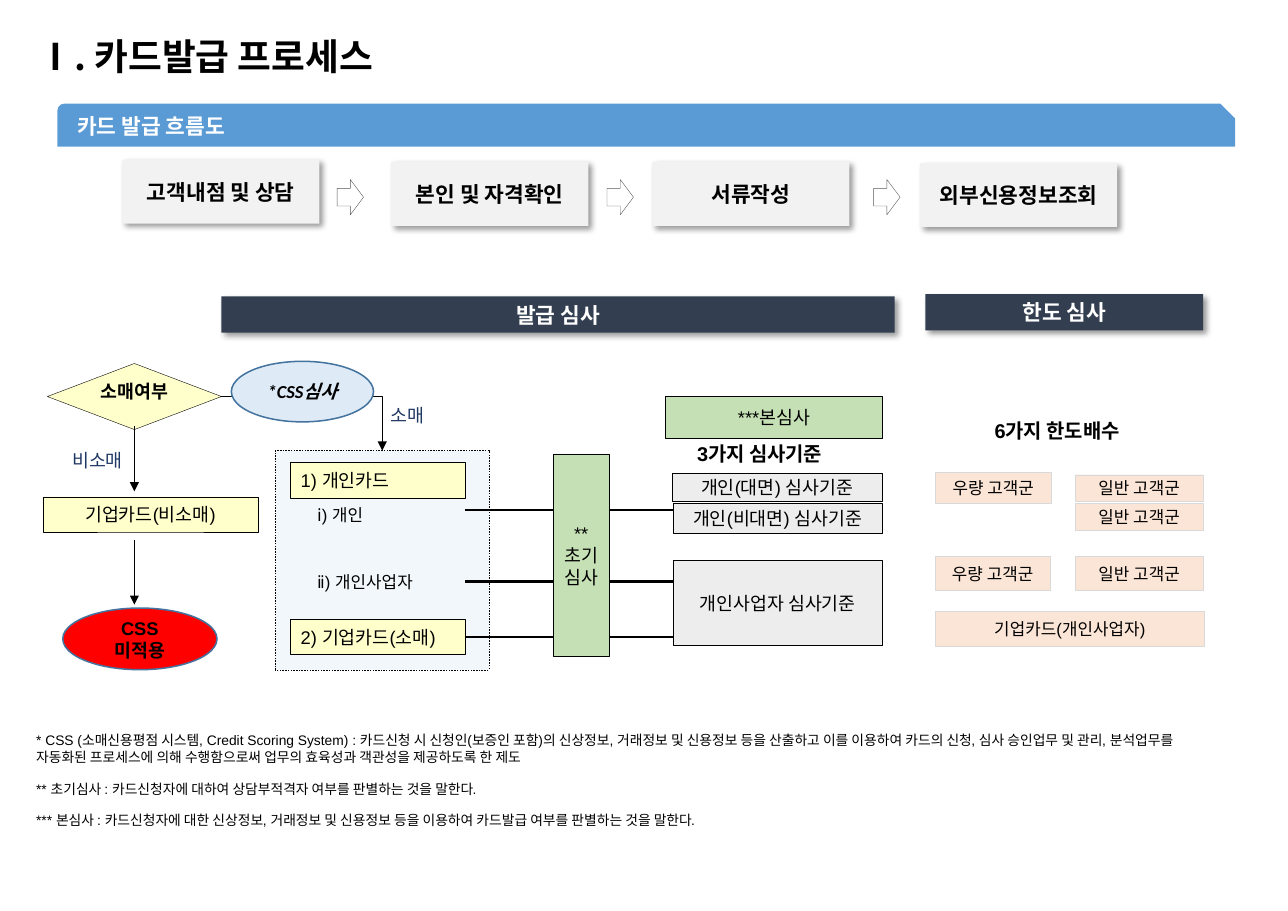
import pptx
import pptx.util
import pptx.dml.color
import pptx.enum.dml
import pptx.enum.shapes
import pptx.enum.text
import pptx.oxml
import pptx.oxml.ns

COLS, ROWS = 1169, 827
CELL = pptx.util.Inches(0.01)
FACE = "Noto Sans CJK KR"
KIND = pptx.enum.shapes.MSO_SHAPE
LINK = pptx.enum.shapes.MSO_CONNECTOR
ALIGN = pptx.enum.text.PP_ALIGN
MID = pptx.enum.text.MSO_ANCHOR.MIDDLE
TOP = pptx.enum.text.MSO_ANCHOR.TOP
NS = pptx.oxml.ns.nsdecls("a")

BASE = dict(kind=KIND.RECTANGLE, fill=None, line=None, width=0.25, dash=False, shade=False,
            size=12, face="Arial", ink="000000", bold=False, slant=False, edge=False,
            align=ALIGN.CENTER, anchor=MID, wrap=True, inset=(10, 5, 10, 5))
LOOKS = {
    "band": dict(kind=KIND.SNIP_ROUND_RECTANGLE, fill="5B9BD5", size=14, face=FACE, ink="FFFFFF",
                 bold=True, align=ALIGN.LEFT, inset=(16, 5, 10, 5)),
    "panel": dict(fill="F2F7FC", line="000000", dash=True),
    "card": dict(fill="FFFFCC", line="000000", align=ALIGN.LEFT),
    "node": dict(fill="FFFFCC", line="000000"),
    "choice": dict(kind=KIND.FLOWCHART_DECISION, fill="FFFFCC", line="000000"),
    "ask": dict(kind=None, bold=True, anchor=TOP),
    "stop": dict(kind=KIND.OVAL, fill="FF0000", line="43739E", width=1, bold=True),
    "score": dict(kind=KIND.OVAL, fill="DEEBF7", line="43739E", width=1, face="Calibri",
                  bold=True, slant=True),
    "branch": dict(kind=None, ink="203864", anchor=TOP, wrap=False),
    "item": dict(kind=None, size=11, align=ALIGN.LEFT),
    "group": dict(fill="FBE5D6", line="D9D9D9", size=11),
    "rule": dict(fill="EDEDED", line="000000"),
    "count": dict(kind=None, size=13, bold=True),
    "arrow": dict(kind=KIND.RIGHT_ARROW, line="595959"),
    "step": dict(fill="F2F2F2", shade=True, size=14, bold=True, inset=(8, 8, 8, 8)),
    "stage": dict(fill="333F50", shade=True, size=14, bold=True, ink="FFFFFF", wrap=False,
                  inset=(8, 8, 8, 8)),
    "check": dict(fill="C5E0B4", line="000000", edge=True),
    "note": dict(kind=None, size=9, align=ALIGN.LEFT, edge=True),
}

TITLE = "Ⅰ. 카드발급 프로세스"
BACK = [
    ("band", (52, 94, 1069, 39), "카드 발급 흐름도"),
    ("panel", (250, 409, 194, 199), ""),
    ("card", (263, 420, 159, 32), "1) 개인카드"),
    ("card", (263, 562, 159, 32), "2) 기업카드(소매)"),
    ("choice", (43, 330, 158, 60), ""),
    ("ask", (51, 340, 142, 41), "소매여부"),
]
FRONT = [
    ("node", (39, 451, 195, 32), "기업카드(비소매)"),
    ("stop", (57, 552, 140, 56), "CSS 미적용"),
    ("score", (210, 328, 129, 55), "*CSS심사"),
    ("branch", (343, 362, 54, 30), "소매"),
    ("branch", (53, 403, 71, 30), "비소매"),
    ("item", (278, 451, 119, 32), "ⅰ) 개인"),
    ("item", (278, 512, 142, 32), "ⅱ) 개인사업자"),
    ("group", (849, 429, 105, 28), "우량 고객군"),
    ("group", (849, 505, 104, 31), "우량 고객군"),
    ("group", (976, 431, 116, 24), "일반 고객군"),
    ("group", (976, 457, 116, 24), "일반 고객군"),
    ("group", (976, 505, 116, 31), "일반 고객군"),
    ("group", (849, 555, 244, 32), "기업카드(개인사업자)"),
    ("rule", (611, 509, 190, 77), "개인사업자 심사기준"),
    ("rule", (610, 430, 191, 25), "개인(대면) 심사기준"),
    ("rule", (611, 457, 190, 27), "개인(비대면) 심사기준"),
    ("count", (850, 377, 219, 28), "6가지 한도배수"),
    ("count", (611, 398, 157, 28), "3가지 심사기준"),
    ("stage", (201, 269, 611, 33), "발급 심사"),
    ("stage", (840, 267, 252, 33), "한도 심사"),
    ("check", (502, 412, 51, 184), "**\n초기심사"),
    ("check", (604, 360, 197, 38), "***본심사"),
]
STEPS = [(111, 145, "고객내점 및 상담"), (355, 147, "본인 및 자격확인"),
         (592, 147, "서류작성"), (835, 148, "외부신용정보조회")]
ARROWS = [306, 551, 793]
NOTES = [
    (656, "* CSS (소매신용평점 시스템, Credit Scoring System) : 카드신청 시 신청인(보증인 포함)의 신상정보, "
          "거래정보 및 신용정보 등을 산출하고 이를 이용하여 카드의 신청, 심사 승인업무 및 관리, "
          "분석업무를 자동화된 프로세스에 의해 수행함으로써 업무의 효육성과 객관성을 제공하도록 한 제도"),
    (693, "** 초기심사 : 카드신청자에 대하여 상담부적격자 여부를 판별하는 것을 말한다."),
    (721, "*** 본심사 : 카드신청자에 대한 신상정보, 거래정보 및 신용정보 등을 이용하여 "
          "카드발급 여부를 판별하는 것을 말한다."),
]
DROPS = [387, 490]
FLOWS = [463, 528, 578]


def tint(code):
    return pptx.dml.color.RGBColor.from_string(code)


def grid(*spans):
    return [int(span * CELL) for span in spans]


def write(frame, text, look):
    frame.word_wrap = look["wrap"]
    frame.vertical_anchor = look["anchor"]
    (frame.margin_left, frame.margin_top,
     frame.margin_right, frame.margin_bottom) = grid(*look["inset"])
    for at, line in enumerate(text.split("\n")):
        para = frame.add_paragraph() if at else frame.paragraphs[0]
        para.alignment = look["align"]
        run = para.add_run()
        run.text = line
        font = run.font
        font.size = pptx.util.Pt(look["size"])
        font.bold, font.italic = look["bold"], look["slant"]
        font.color.rgb = tint(look["ink"])
        font.name = look["face"]
        props = run._r.get_or_add_rPr()
        props.append(pptx.oxml.parse_xml(f'<a:ea {NS} typeface="{FACE}"/>'))
        if look["edge"]:
            props.insert(0, pptx.oxml.parse_xml(
                f'<a:ln {NS} w="9525"><a:solidFill><a:srgbClr val="262626">'
                '<a:alpha val="30000"/></a:srgbClr></a:solidFill></a:ln>'))


def place(name, box, text=""):
    look = {**BASE, **LOOKS[name]}
    if look["kind"] is None:
        shape = slide.shapes.add_textbox(*grid(*box))
    else:
        shape = slide.shapes.add_shape(look["kind"], *grid(*box))
        shape.shadow.inherit = False
        if look["fill"]:
            shape.fill.solid()
            shape.fill.fore_color.rgb = tint(look["fill"])
        else:
            shape.fill.background()
        if look["line"]:
            shape.line.color.rgb = tint(look["line"])
            shape.line.width = pptx.util.Pt(look["width"])
        else:
            shape.line.fill.background()
        if look["dash"]:
            shape.line.dash_style = pptx.enum.dml.MSO_LINE.DASH
        if look["shade"]:
            shape._element.spPr.find(pptx.oxml.ns.qn("a:effectLst")).append(pptx.oxml.parse_xml(
                f'<a:outerShdw {NS} blurRad="50800" dist="38100" dir="2700000" algn="tl" '
                'rotWithShape="0"><a:srgbClr val="000000"><a:alpha val="40000"/>'
                '</a:srgbClr></a:outerShdw>'))
    if text:
        write(shape.text_frame, text, look)
    return shape


def join(ends, width, kind=LINK.STRAIGHT):
    link = slide.shapes.add_connector(kind, *grid(*ends))
    link.line.color.rgb = tint("000000")
    link.line.width = pptx.util.Pt(width)
    link.line._get_or_add_ln().append(pptx.oxml.parse_xml(f'<a:tailEnd {NS} type="triangle"/>'))
    link._element.spPr.append(pptx.oxml.parse_xml(f'<a:effectLst {NS}/>'))
    return link


deck = pptx.Presentation()
deck.slide_width, deck.slide_height = grid(COLS, ROWS)
slide = deck.slides.add_slide(deck.slide_layouts[5])

title = slide.shapes.title
title.left, title.top, title.width, title.height = grid(34, 34, 869, 37)
title.text_frame.auto_size = pptx.enum.text.MSO_AUTO_SIZE.NONE
write(title.text_frame, TITLE, {**BASE, "size": 24, "face": FACE, "bold": True,
                                "align": ALIGN.LEFT, "inset": (0, 0, 0, 0),
                                "anchor": pptx.enum.text.MSO_ANCHOR.BOTTOM})

band, panel, person, firm, choice, ask = [place(*part) for part in BACK]
band.adjustments[0], band.adjustments[1] = 0.17, 0.35

for top in DROPS:
    join((122, top, 122, top + 59), 0.25)
bend = join((201, 360, 347, 409), 0.25, LINK.ELBOW)
bend._element.spPr.prstGeom.set("prst", "bentConnector2")
bend.begin_connect(choice, 3)
bend.end_connect(panel, 0)
flows = [join((422, row, 690, row), 1.5) for row in FLOWS]
flows[-1].begin_connect(firm, 3)

for part in FRONT:
    place(*part)
for left in ARROWS:
    place("arrow", (left, 163, 24, 32))
for left, top, text in STEPS:
    place("step", (left, top, 179, 58), text)
for top, text in NOTES:
    place("note", (23, top, 1090, 47), text)

deck.save("out.pptx")
